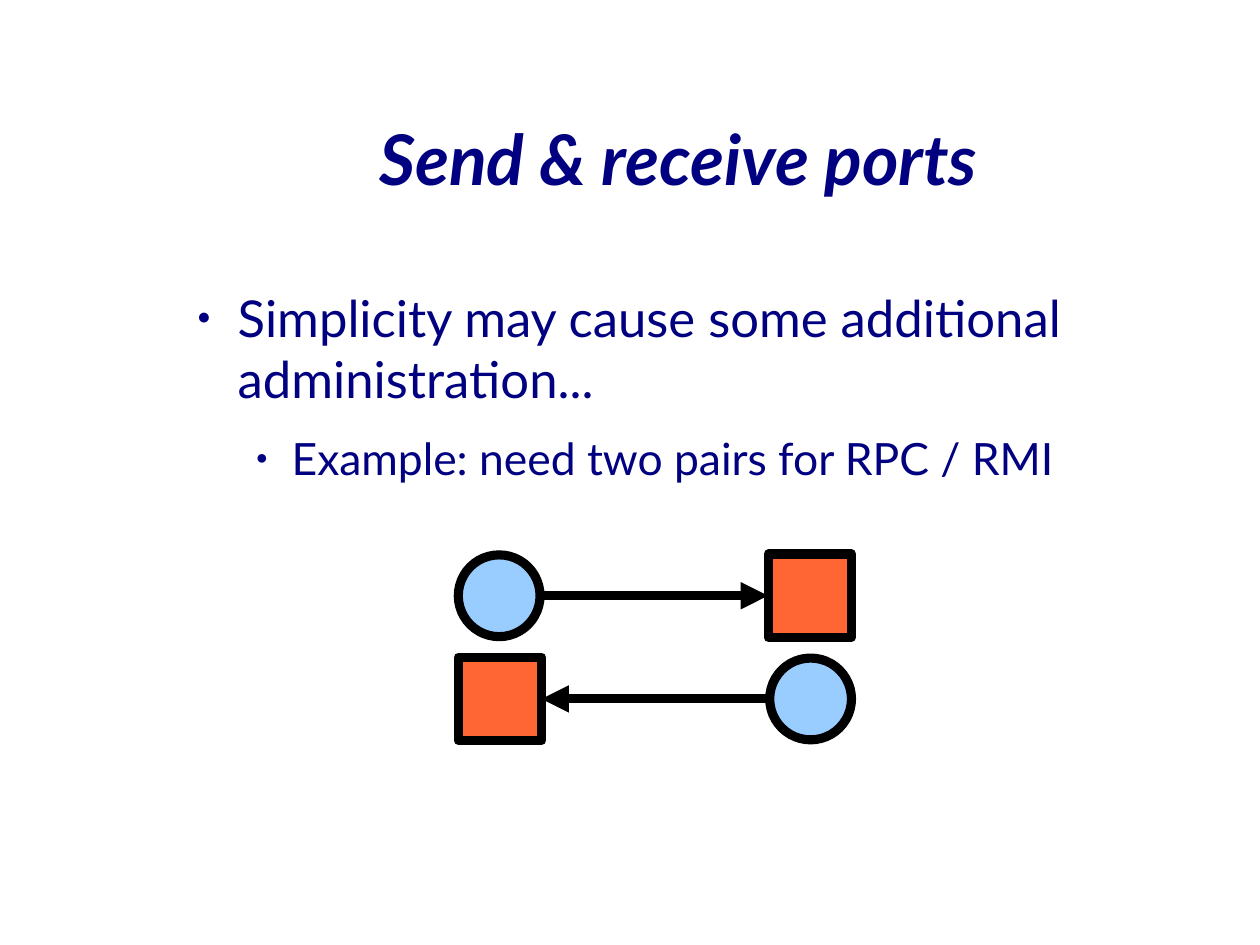
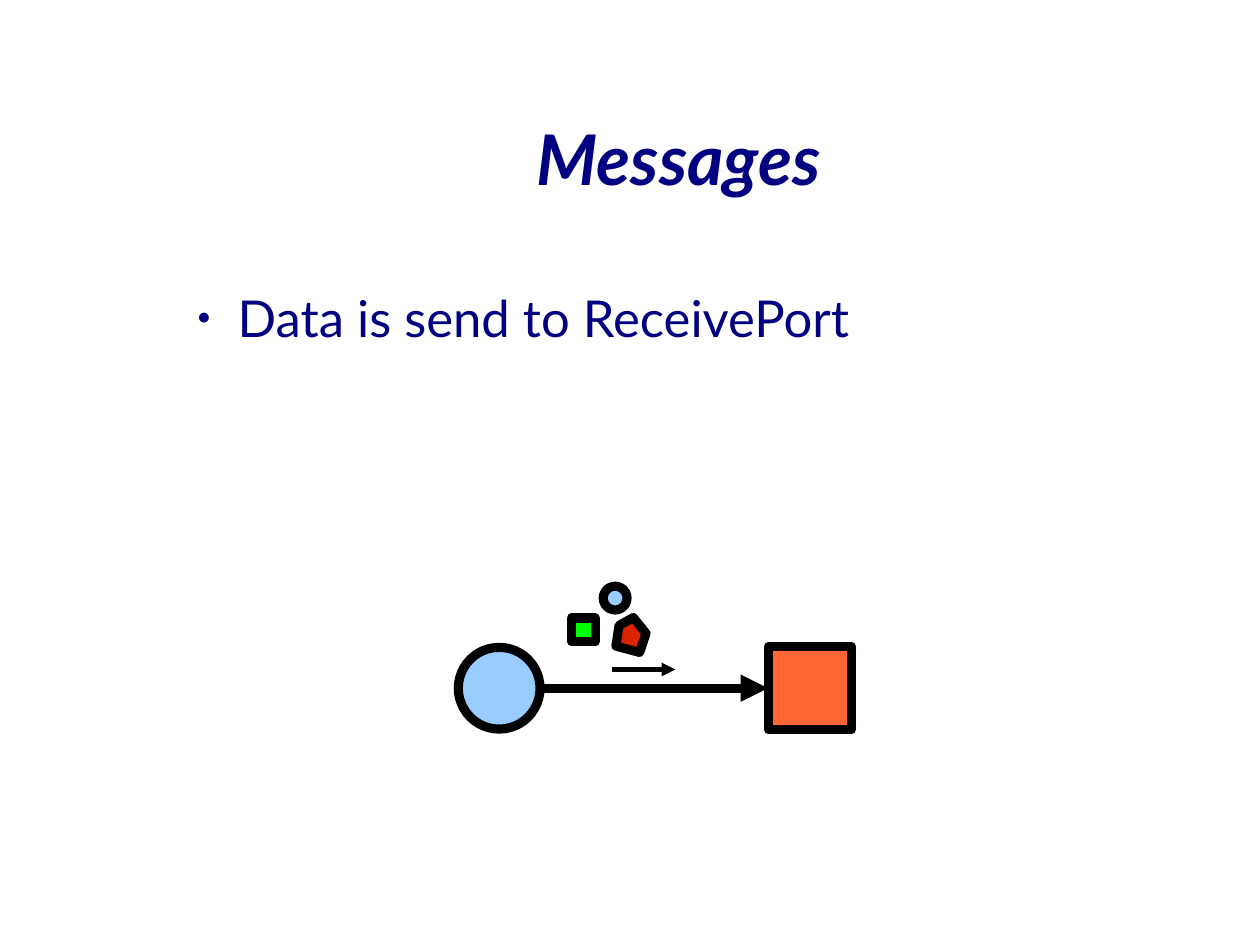
from pptx import Presentation
from pptx.dml.color import RGBColor
from pptx.enum.shapes import MSO_CONNECTOR, MSO_SHAPE
from pptx.enum.text import MSO_ANCHOR, MSO_AUTO_SIZE, PP_ALIGN
from pptx.oxml.ns import qn
from pptx.util import Pt
from lxml.etree import SubElement

# Shared style
FONT = "Lato"
NAVY = RGBColor(0x00, 0x00, 0x80)
BLACK = RGBColor(0x00, 0x00, 0x00)
WHITE = RGBColor(0xFF, 0xFF, 0xFF)
SKY = RGBColor(0x99, 0xCC, 0xFF)
ORANGE = RGBColor(0xFF, 0x66, 0x33)
GREEN = RGBColor(0x00, 0xFF, 0x00)
RED = RGBColor(0xDC, 0x23, 0x00)
HEAVY, THIN = 5.75, 2.89

# Boxes: left, top, width, height in points
SLIDE_WIDTH, SLIDE_HEIGHT = 793.75, 595.25
TITLE_BOX = (119, 49.5, 617, 99.5)
BODY_BOX = (115.75, 180.5, 678, 375)
PORTS_LEFT, PORTS_WIDTH, PORT_SIZE = 288.7, 247.7, 52.5

# Size, left margin, hanging indent and space after, by list level
LEVELS = [(32, 34, 25.5, 14.1), (28, 68, 22.5, 11.3)]


def add_text(p, text, size, bold=False, italic=False, color=NAVY):
    r = p.add_run()
    r.text = text
    font = r.font
    font.name, font.size = FONT, Pt(size)
    font.bold, font.italic = bold, italic
    font.color.rgb = color


def place_frame(sp, box, anchor):
    sp.left, sp.top, sp.width, sp.height = map(Pt, box)
    tf = sp.text_frame
    tf.margin_left = tf.margin_top = tf.margin_right = tf.margin_bottom = 0
    tf.word_wrap = True
    tf.auto_size = MSO_AUTO_SIZE.NONE
    tf.vertical_anchor = anchor
    return tf


def add_bullet(p, margin, hanging):
    pPr = p._p.get_or_add_pPr()
    pPr.set("marL", str(Pt(margin)))
    pPr.set("indent", str(-Pt(hanging)))
    color = SubElement(pPr, qn("a:buClr"))
    SubElement(color, qn("a:srgbClr"), val=str(NAVY))
    SubElement(pPr, qn("a:buSzPct"), val="45000")
    SubElement(pPr, qn("a:buChar"), char="●")


def add_content_slide(prs, title, items):
    """Title and bulleted list; items are (level, text) pairs."""
    s = prs.slides.add_slide(prs.slide_layouts[1])
    tf = place_frame(s.shapes.title, TITLE_BOX, MSO_ANCHOR.MIDDLE)
    p = tf.paragraphs[0]
    p.alignment = PP_ALIGN.CENTER
    add_text(p, title, 44, bold=True, italic=True)

    tf = place_frame(s.placeholders[1], BODY_BOX, MSO_ANCHOR.TOP)
    for i, (level, text) in enumerate(items):
        size, margin, hanging, after = LEVELS[level]
        p = tf.add_paragraph() if i else tf.paragraphs[0]
        p.level = level
        p.space_before, p.space_after = Pt(0), Pt(after)
        add_bullet(p, margin, hanging)
        add_text(p, text, size)
    return s


def style_shape(sp, fill):
    sp.shadow.inherit = False
    sp.fill.solid()
    sp.fill.fore_color.rgb = fill
    sp.line.color.rgb = BLACK
    sp.line.width = Pt(HEAVY)
    SubElement(sp.element.spPr.find(qn("a:ln")), qn("a:round"))
    return sp


def add_square_box(shapes, kind, x, y, size, fill):
    sp = shapes.add_shape(kind, Pt(x), Pt(y), Pt(size), Pt(size))
    return style_shape(sp, fill)


def add_arrow(s, x1, x2, y, width):
    line = s.shapes.add_connector(
        MSO_CONNECTOR.STRAIGHT, Pt(x1), Pt(y), Pt(x2), Pt(y))
    line.line.color.rgb = BLACK
    line.line.width = Pt(width)
    spPr = line.element.spPr
    SubElement(spPr.find(qn("a:ln")), qn("a:tailEnd"), type="triangle")
    SubElement(spPr, qn("a:effectLst"))
    return line


def add_port_pair(s, x, y, w, h, leftward=False):
    """Round send port, arrow and square receive port."""
    size = h - 1
    send_x, receive_x = (x + w - size, x) if leftward else (x, x + w - h)
    add_square_box(s.shapes, MSO_SHAPE.OVAL, send_x, y + 0.5, size, SKY)
    receive = add_square_box(
        s.shapes, MSO_SHAPE.RECTANGLE, receive_x, y, h, ORANGE)
    start = send_x if leftward else send_x + size
    end = receive_x + h if leftward else receive_x
    arrow = add_arrow(s, start, end, y + h / 2, HEAVY)
    arrow.end_connect(receive, 3 if leftward else 1)


def add_message(s, x, y):
    """Three data items with the arrow that shows their direction."""
    add_arrow(s, x + 25.5, x + 65.5, y + 52.5, THIN)
    shapes = s.shapes.add_group_shape().shapes
    add_square_box(shapes, MSO_SHAPE.RECTANGLE, x, y + 20, 15, GREEN)
    add_square_box(shapes, MSO_SHAPE.OVAL, x + 20, y, 15, SKY)
    corners = [(29.5, 24.5), (39, 20), (47, 30), (43, 42), (28, 38)]
    points = [(x + dx, y + dy) for dx, dy in corners]
    builder = shapes.build_freeform(*points[0], scale=Pt(1))
    builder.add_line_segments(points[1:], close=True)
    style_shape(builder.convert_to_shape(), RED)


def main():
    prs = Presentation()
    prs.slide_width, prs.slide_height = Pt(SLIDE_WIDTH), Pt(SLIDE_HEIGHT)
    background = prs.slide_master.background.fill
    background.solid()
    background.fore_color.rgb = WHITE

    # Two opposite port pairs
    s = add_content_slide(prs, "Send & receive ports", [
        (0, "Simplicity may cause some additional administration..."),
        (1, "Example: need two pairs for RPC / RMI"),
    ])
    for y, leftward in ((349, False), (414, True)):
        add_port_pair(s, PORTS_LEFT, y, PORTS_WIDTH, PORT_SIZE, leftward)

    # A message on its way
    s = add_content_slide(prs, "Messages", [
        (0, "Data is send to ReceivePort"),
    ])
    add_port_pair(s, PORTS_LEFT, 407.25, PORTS_WIDTH, PORT_SIZE)
    add_message(s, 360, 369.25)

    prs.save("out.pptx")


if __name__ == "__main__":
    main()
